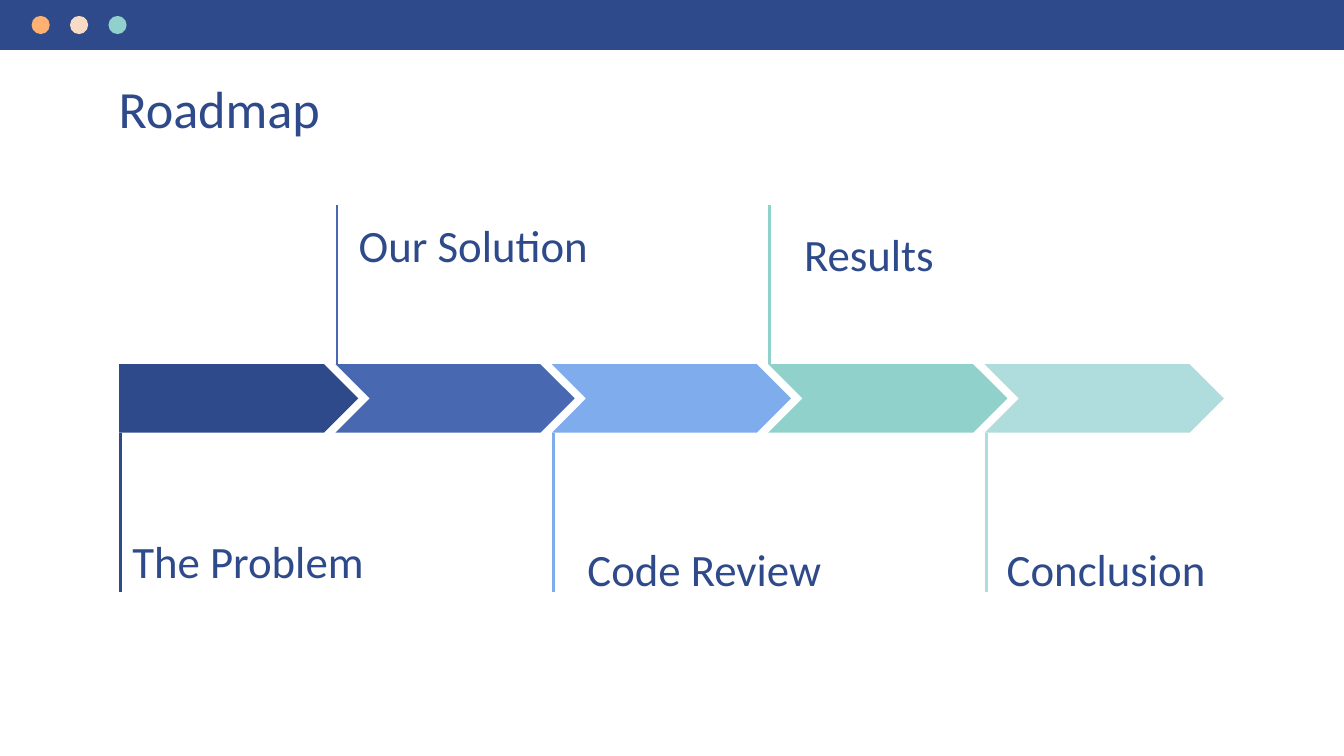
import collections
import dataclasses

import pptx
import pptx.dml.color
import pptx.enum.shapes
import pptx.enum.text
import pptx.oxml.ns
import pptx.util
from lxml import etree

SHAPE = pptx.enum.shapes.MSO_SHAPE
COLS, ROWS = 100, 56.25

Box = collections.namedtuple("Box", "x y w h")
Step = collections.namedtuple("Step", "name color above dx dy w h")


@dataclasses.dataclass(frozen=True)
class Theme:
    font: str = "Calibri"
    navy: str = "2F4A8A"
    indigo: str = "4869B1"
    sky: str = "7EACEC"
    teal: str = "90D1CB"
    mist: str = "AFDCDD"
    orange: str = "FFB172"
    cream: str = "F8DBC4"
    title_size: int = 28
    label_size: int = 24
    stem_width: float = 1.5


THEME = Theme()


def rgb(color):
    return pptx.dml.color.RGBColor.from_string(color)


def grid(*cells):
    unit = pptx.util.Inches(10) / COLS
    return [round(cell * unit) for cell in cells]


def add_filled(shapes, kind, box, color):
    sp = shapes.add_shape(kind, *grid(*box))
    sp.shadow.inherit = False
    sp.fill.solid()
    sp.fill.fore_color.rgb = rgb(color)
    sp.line.fill.background()
    return sp


def add_stem(shapes, x, top, bottom, color):
    line = shapes.add_connector(
        pptx.enum.shapes.MSO_CONNECTOR.STRAIGHT, *grid(x, top, x, bottom))
    line.line.color.rgb = rgb(color)
    line.line.width = pptx.util.Pt(THEME.stem_width)
    etree.SubElement(line._element.spPr, pptx.oxml.ns.qn("a:effectLst"))


def add_label(s, box, text, size):
    tf = s.shapes.add_textbox(*grid(*box)).text_frame
    tf.word_wrap = True
    tf.vertical_anchor = pptx.enum.text.MSO_ANCHOR.TOP
    tf.margin_left, tf.margin_top, tf.margin_right, tf.margin_bottom = grid(1, 1, 1, 1)
    p = tf.paragraphs[0]
    p.text = text
    p.font.name = THEME.font
    p.font.size = pptx.util.Pt(size)
    p.font.color.rgb = rgb(THEME.navy)


def add_header(s, box):
    shapes = s.shapes.add_group_shape().shapes
    add_filled(shapes, SHAPE.RECTANGLE, box, THEME.navy)
    dot, pitch = 1.35, 2.86
    for i, color in enumerate((THEME.orange, THEME.cream, THEME.teal)):
        place = Box(box.x + 2.35 + i * pitch, box.y + (box.h - dot) / 2, dot, dot)
        add_filled(shapes, SHAPE.OVAL, place, color)


def add_roadmap(s, box, steps):
    arrow_w, arrow_h = 17.8, 5.1
    pitch = (box.w - arrow_w) / (len(steps) - 1)
    top = box.y + (box.h - arrow_h) / 2
    bottom = top + arrow_h
    for i, step in enumerate(steps):
        x = box.x + i * pitch
        shapes = s.shapes.add_group_shape().shapes
        kind = SHAPE.CHEVRON if i else SHAPE.PENTAGON
        arrow = add_filled(shapes, kind, Box(x, top, arrow_w, arrow_h), step.color)
        arrow.adjustments[0] = 0.5
        start, end = (box.y, top) if step.above else (bottom, box.y + box.h)
        add_stem(shapes, x + 0.12, start, end, step.color)
    for i, step in enumerate(steps):
        x = box.x + i * pitch
        place = Box(x + step.dx, box.y + step.dy, step.w, step.h)
        add_label(s, place, step.name, THEME.label_size)


def main():
    prs = pptx.Presentation()
    prs.slide_width, prs.slide_height = grid(COLS, ROWS)
    s = prs.slides.add_slide(prs.slide_layouts[6])
    add_label(s, Box(7.84, 4.7, 84.4, 5.1), "Roadmap", THEME.title_size)
    add_header(s, Box(0, 0, COLS, 3.72))
    add_roadmap(s, Box(8.86, 15.23, 82.2, 28.84), (
        Step("The Problem", THEME.navy, False, 0, 23.5, 22.1, 5.1),
        Step("Our Solution", THEME.indigo, True, 0.75, 0, 25.3, 3.9),
        Step("Code Review", THEME.sky, False, 1.66, 24.1, 22.1, 3.9),
        Step("Results", THEME.teal, True, 1.68, 0.65, 17.1, 3.9),
        Step("Conclusion", THEME.mist, False, 0.66, 24.1, 21.1, 3.9),
    ))
    prs.save("out.pptx")


if __name__ == "__main__":
    main()
